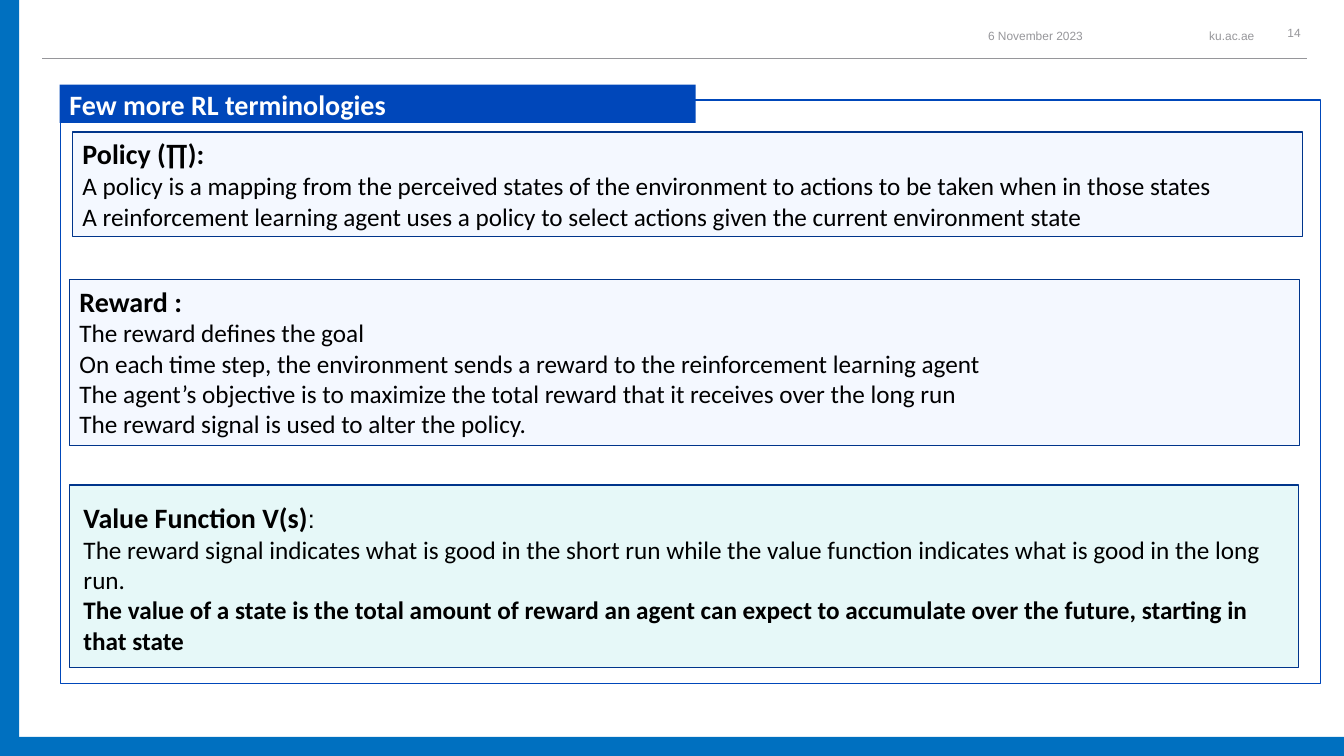
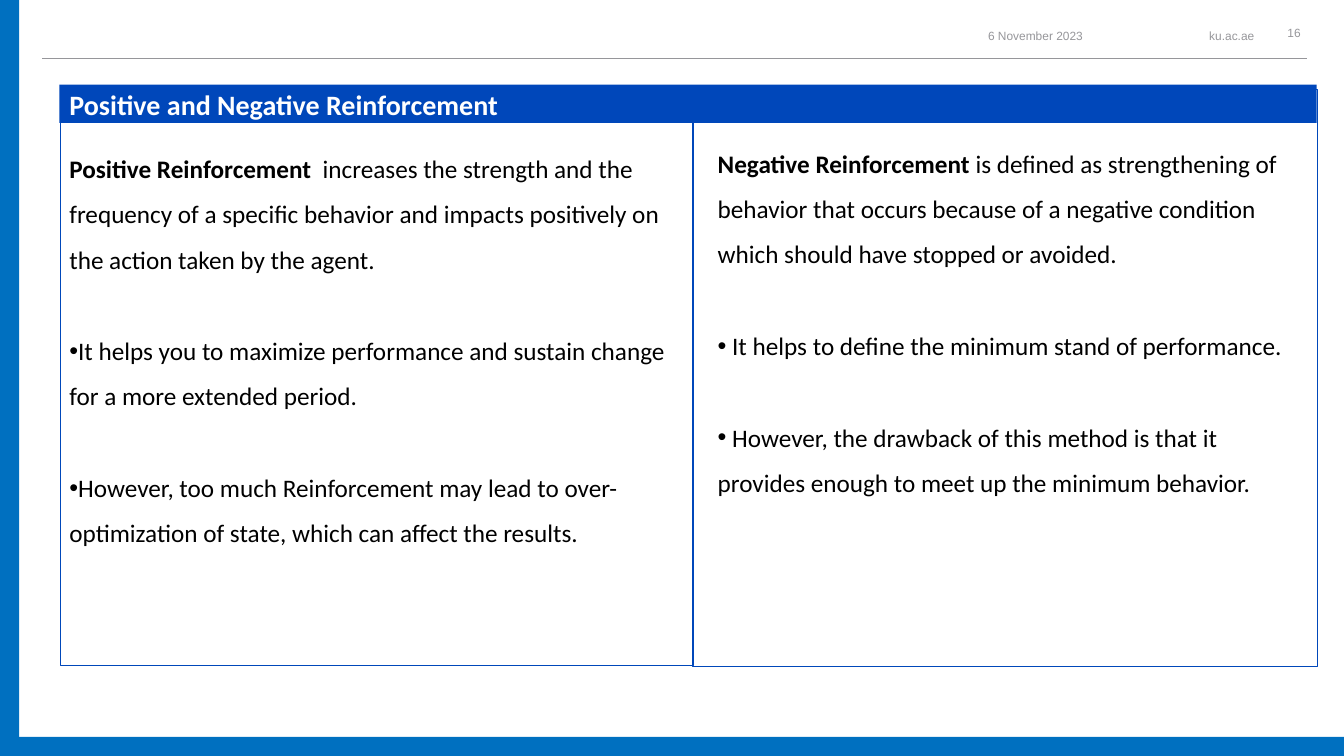
from dataclasses import dataclass

from lxml import etree
from pptx import Presentation
from pptx.dml.color import RGBColor
from pptx.enum.shapes import MSO_CONNECTOR, MSO_SHAPE
from pptx.enum.text import MSO_ANCHOR, PP_ALIGN
from pptx.oxml.ns import qn
from pptx.util import Inches, Pt

RECT = MSO_SHAPE.RECTANGLE
STRAIGHT = MSO_CONNECTOR.STRAIGHT
TOP, MIDDLE = MSO_ANCHOR.TOP, MSO_ANCHOR.MIDDLE
LEFT, CENTER, RIGHT = PP_ALIGN.LEFT, PP_ALIGN.CENTER, PP_ALIGN.RIGHT


@dataclass(frozen=True)
class Theme:
    royal: str = "0047BA"
    navy: str = "00358B"
    edge: str = "0070C0"
    sky: str = "BED7FF"
    mint: str = "E6F8F8"
    grey: str = "96969A"
    black: str = "000000"
    white: str = "FFFFFF"
    body_font: str = "Calibri"
    header_font: str = "Arial"
    heading: float = 20
    body: float = 18
    header: float = 8.5
    line: float = 1
    rule: float = 0.75
    sky_alpha: int = 17
    loose: float = 1.5
    item_gap: float = 33


T = Theme()
WIDTH, HEIGHT, EDGE = 13.33, 7.5, 0.19


@dataclass(frozen=True)
class Box:
    left: float
    top: float
    width: float
    height: float

    def emu(self) -> list[Inches]:
        return [Inches(v) for v in (self.left, self.top, self.width, self.height)]


@dataclass(frozen=True)
class Run:
    text: str
    size: float = T.body
    bold: bool = False
    font: str = T.body_font
    color: str = T.black


@dataclass(frozen=True)
class Para:
    runs: tuple[Run, ...]
    spacing: float = 1.0
    before: float = 0
    bullet: bool = False
    align: PP_ALIGN = LEFT


@dataclass(frozen=True)
class HeaderItem:
    text: str
    box: Box
    align: PP_ALIGN


def heading(text: str) -> Para:
    return Para((Run(text, T.heading, True),))


def plain(text: str, bold: bool = False) -> Para:
    return Para((Run(text, bold=bold),))


def item(text: str) -> Para:
    return Para((Run(text),), T.loose, T.item_gap, True)


def definition(term: str, text: str) -> Para:
    return Para((Run(term, bold=True), Run(text)), T.loose)


def add_bullet(p) -> None:
    pPr = p._p.get_or_add_pPr()
    pPr.set("marL", "0")
    pPr.set("indent", "0")
    etree.SubElement(pPr, qn("a:buFont")).set("typeface", "Arial")
    etree.SubElement(pPr, qn("a:buChar")).set("char", "•")


def write(tf, paras: list[Para], anchor=TOP, inset: bool = True) -> None:
    x, y = (Inches(0.1), Inches(0.05)) if inset else (0, 0)
    frame_format = {"word_wrap": True, "vertical_anchor": anchor,
                    "margin_left": x, "margin_right": x,
                    "margin_top": y, "margin_bottom": y}
    for name, value in frame_format.items():
        setattr(tf, name, value)
    for i, para in enumerate(paras):
        p = tf.add_paragraph() if i else tf.paragraphs[0]
        if para.bullet:
            add_bullet(p)
        p.alignment, p.line_spacing = para.align, para.spacing
        p.space_before = Pt(para.before)
        for run in para.runs:
            r = p.add_run()
            r.text = run.text
            font_format = {"name": run.font, "size": Pt(run.size), "bold": run.bold}
            for name, value in font_format.items():
                setattr(r.font, name, value)
            r.font.color.rgb = RGBColor.from_string(run.color)


def add_text(s, box: Box, paras: list[Para], anchor=TOP, inset: bool = True) -> None:
    write(s.shapes.add_textbox(*box.emu()).text_frame, paras, anchor, inset)


def add_rect(s, box: Box, fill: str = "", line: str = "", alpha: int = 100):
    sp = s.shapes.add_shape(RECT, *box.emu())
    sp.shadow.inherit = False
    if fill:
        sp.fill.solid()
        sp.fill.fore_color.rgb = RGBColor.from_string(fill)
        if alpha < 100:
            color = sp._element.spPr.find(qn("a:solidFill"))[0]
            etree.SubElement(color, qn("a:alpha")).set("val", str(alpha * 1000))
    else:
        sp.fill.background()
    if line:
        sp.line.color.rgb = RGBColor.from_string(line)
        sp.line.width = Pt(T.line)
    else:
        sp.line.fill.background()
    return sp


def add_sky_card(s, box: Box, paras: list[Para]) -> None:
    write(add_rect(s, box, T.sky, T.navy, T.sky_alpha).text_frame, paras)


def add_base(prs, number: int, title: str, title_width: float, frames: list[Box]):
    """Add a slide with its header, edge bars, frames and title band."""
    s = prs.slides.add_slide(prs.slide_layouts[6])
    header = [
        HeaderItem("ku.ac.ae", Box(11.39, 0.22, 1.05, 0.27), RIGHT),
        HeaderItem("6 November 2023", Box(8.84, 0.22, 1.9, 0.27), RIGHT),
        HeaderItem(str(number), Box(12.55, 0.19, 0.57, 0.27), CENTER),
    ]
    for h in header:
        run = Run(h.text, T.header, font=T.header_font, color=T.grey)
        add_text(s, h.box, [Para((run,), align=h.align)], MIDDLE, False)
    rule = s.shapes.add_connector(STRAIGHT, Inches(0.42), Inches(0.58),
                                  Inches(12.96), Inches(0.58))
    rule.line.color.rgb = RGBColor.from_string(T.grey)
    rule.line.width = Pt(T.rule)
    etree.SubElement(rule._element.spPr, qn("a:effectLst"))
    for frame in frames:
        add_rect(s, frame, line=T.royal)
    band = add_rect(s, Box(0.59, 0.84, title_width, 0.38), T.royal)
    title_run = Run(title, T.heading, True, color=T.white)
    write(band.text_frame, [Para((title_run,))], MIDDLE)
    for bar in (Box(0, 0, EDGE, HEIGHT), Box(0, HEIGHT - EDGE, WIDTH, EDGE)):
        add_rect(s, bar, T.edge)
    return s


def add_terminologies(prs) -> None:
    s = add_base(prs, 14, "Few more RL terminologies", 6.31,
                 [Box(0.6, 0.99, 12.5, 5.79)])
    add_sky_card(s, Box(0.69, 2.77, 12.2, 1.65), [
        heading("Reward :"),
        plain("The reward defines the goal"),
        plain("On each time step, the environment sends a reward to the "
              "reinforcement learning agent"),
        plain("The agent’s objective is to maximize the total reward that it "
              "receives over the long run"),
        plain("The reward signal is used to alter the policy."),
    ])
    add_sky_card(s, Box(0.72, 1.31, 12.2, 1.04), [
        heading("Policy (∏):"),
        plain("A policy is a mapping from the perceived states of the environment "
              "to actions to be taken when in those states"),
        plain("A reinforcement learning agent uses a policy to select actions "
              "given the current environment state"),
    ])
    add_rect(s, Box(0.69, 4.81, 12.19, 1.81), T.mint, T.navy)
    add_text(s, Box(0.73, 4.75, 12.07, 1.82), [
        Para((Run("Value Function V(s)", T.heading, True),
              Run(":", font=T.header_font)), T.loose),
        plain("The reward signal indicates what is good in the short run while "
              "the value function indicates what is good in the long run."),
        plain("The value of a state is the total amount of reward an agent can "
              "expect to accumulate over the future, starting in that state", True),
    ])


def add_reinforcement(prs) -> None:
    s = add_base(prs, 16, "Positive and Negative Reinforcement", 12.47,
                 [Box(0.6, 0.99, 6.28, 5.61), Box(6.87, 0.89, 6.2, 5.72)])
    add_text(s, Box(0.59, 1.32, 6.17, 4.19), [
        definition("Positive Reinforcement ",
                   " increases the strength and the frequency of a specific "
                   "behavior and impacts positively on the action taken by the agent."),
        item("It helps you to maximize performance and sustain change for a more "
             "extended period."),
        item("However, too much Reinforcement may lead to over-optimization of "
             "state, which can affect the results."),
    ])
    add_text(s, Box(7.02, 1.27, 6.02, 3.74), [
        definition("Negative Reinforcement ",
                   "is defined as strengthening of behavior that occurs because of "
                   "a negative condition which should have stopped or avoided."),
        item(" It helps to define the minimum stand of performance."),
        item(" However, the drawback of this method is that it provides enough to "
             "meet up the minimum behavior."),
    ])


def main() -> None:
    prs = Presentation()
    prs.slide_width, prs.slide_height = Inches(WIDTH), Inches(HEIGHT)
    add_terminologies(prs)
    add_reinforcement(prs)
    prs.save("out.pptx")


if __name__ == "__main__":
    main()
